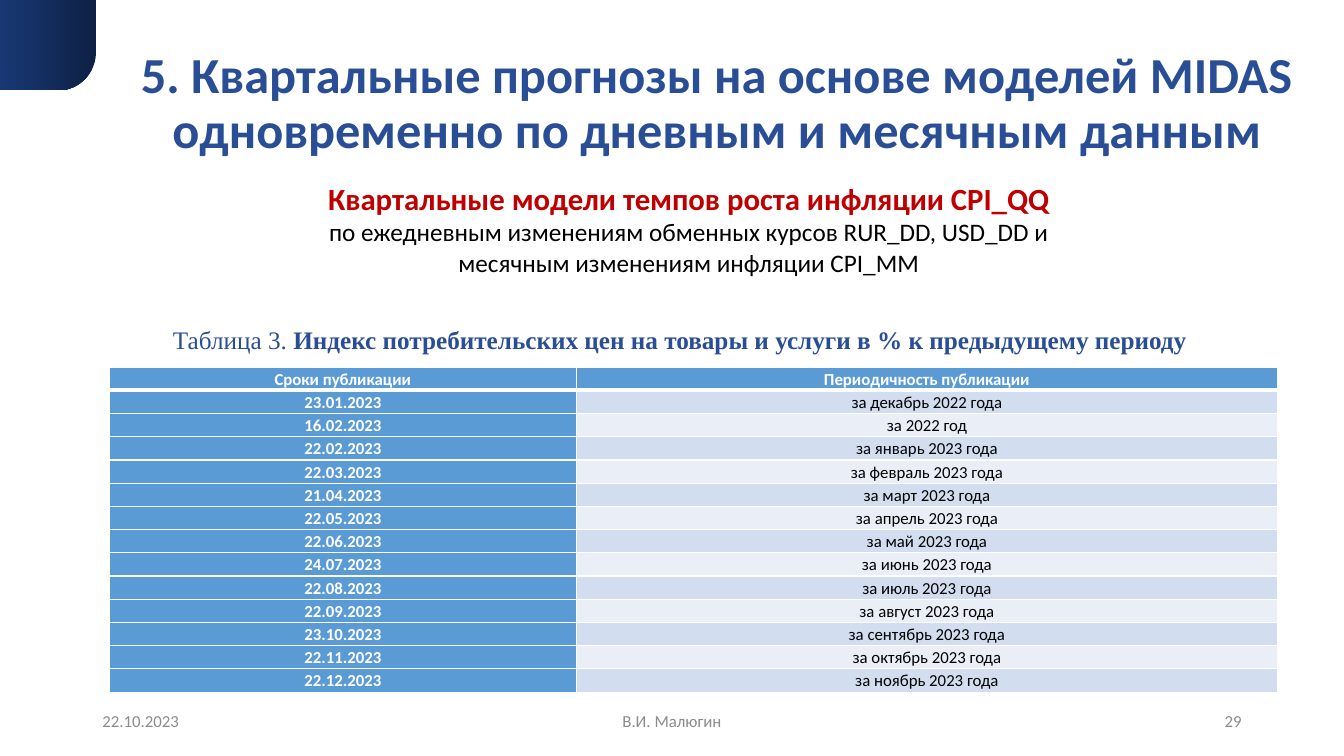
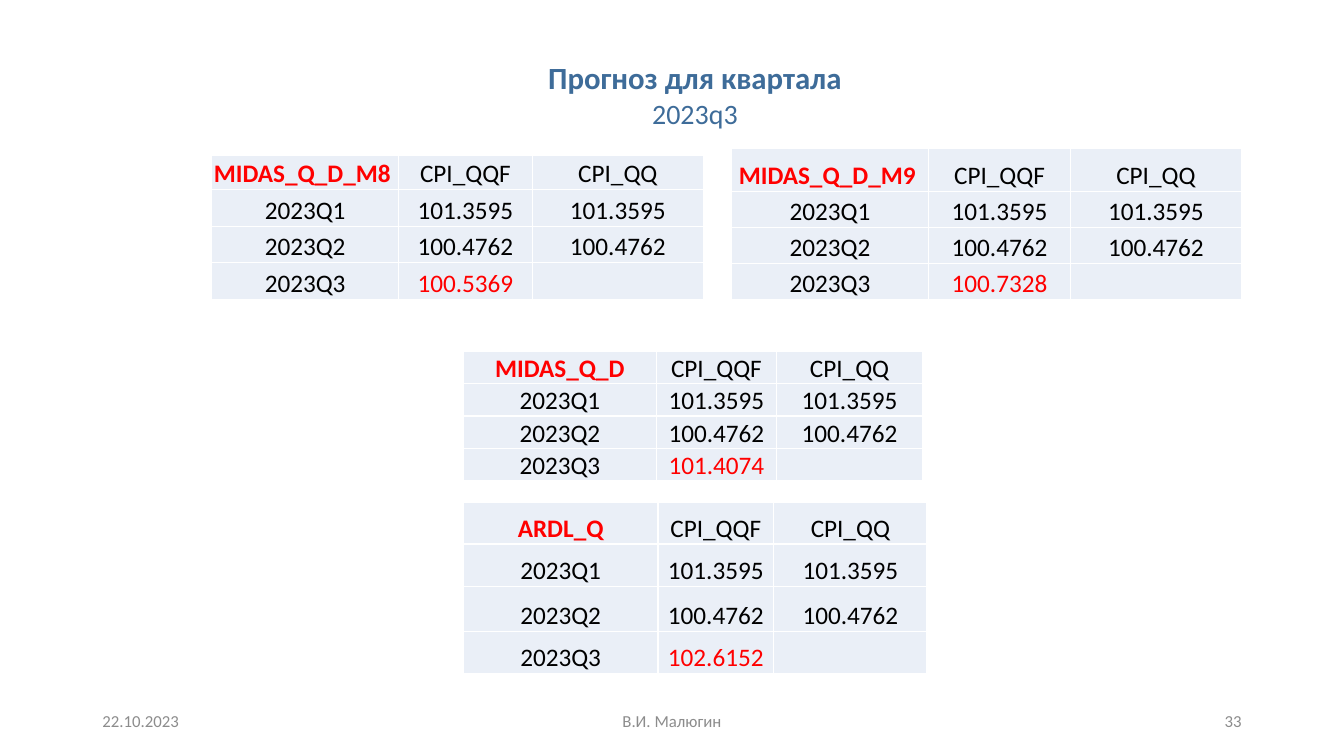
"""Build two slides on quarterly inflation forecasts with MIDAS models."""
from dataclasses import dataclass

import lxml.etree
import pptx
import pptx.dml.color
import pptx.enum.shapes
import pptx.enum.text
import pptx.oxml.ns
import pptx.slide
import pptx.table
import pptx.text.text
import pptx.util

Cm = pptx.util.Cm
Pt = pptx.util.Pt
Align = pptx.enum.text.PP_ALIGN
Anchor = pptx.enum.text.MSO_ANCHOR
Slide = pptx.slide.Slide

HUES = {
    "title": "2A4E96", "steel": "3E6C99", "crimson": "C00000", "red": "FF0000",
    "black": "000000", "white": "FFFFFF", "gray": "8C8C8C",
    "head": "5B9BD5", "band": "D2DEEF", "pale": "EAEFF7",
    "dark": "0E2145", "navy": "183874",
}
DATE = "22.10.2023"
AUTHOR = "В.И. Малюгин"


@dataclass
class Box:
    left: float
    top: float
    width: float
    height: float

    def place(self) -> tuple:
        return Cm(self.left), Cm(self.top), Cm(self.width), Cm(self.height)


@dataclass
class Bit:
    text: str
    size: float
    hue: str
    bold: bool = False
    font: str = "Calibri"


@dataclass
class Line:
    bits: list[Bit]
    align: Align = Align.CENTER
    space: float = 1.0


@dataclass
class Cell:
    bit: Bit
    fill: str


@dataclass
class Model:
    name: str
    value: str
    left: float
    top: float
    cols: list[float]
    rows: list[float]


DATES = [
    ("23.01.2023", "за декабрь 2022 года"),
    ("16.02.2023", "за 2022 год"),
    ("22.02.2023", "за январь 2023 года"),
    ("22.03.2023", "за февраль 2023 года"),
    ("21.04.2023", "за март 2023 года"),
    ("22.05.2023", "за апрель 2023 года"),
    ("22.06.2023", "за май 2023 года"),
    ("24.07.2023", "за июнь 2023 года"),
    ("22.08.2023", "за июль 2023 года"),
    ("22.09.2023", "за август 2023 года"),
    ("23.10.2023", "за сентябрь 2023 года"),
    ("22.11.2023", "за октябрь 2023 года"),
    ("22.12.2023", "за ноябрь 2023 года"),
]
MODELS = [
    Model("MIDAS_Q_D_M8 ", "100.5369", 5.33, 3.92,
          [4.72, 3.36, 4.32], [0.86, 0.92, 0.92, 0.92]),
    Model("MIDAS_Q_D_M9 ", "100.7328", 18.44, 3.74,
          [4.96, 3.58, 4.3], [1.08, 0.91, 0.91, 0.91]),
    Model("MIDAS_Q_D", "101.4074", 11.68, 8.85,
          [4.86, 3.03, 3.68], [0.81, 0.81, 0.81, 0.81]),
    Model("ARDL_Q", "102.6152", 11.68, 12.65,
          [4.9, 2.92, 3.86], [1.06, 1.06, 1.14, 1.06]),
]


def tint(hue: str) -> pptx.dml.color.RGBColor:
    return pptx.dml.color.RGBColor.from_string(HUES[hue])


def write(frame: pptx.text.text.TextFrame, lines: list[Line]) -> None:
    for spot, line in enumerate(lines):
        para = frame.add_paragraph() if spot else frame.paragraphs[0]
        para.alignment = line.align
        para.line_spacing = line.space
        for bit in line.bits:
            run = para.add_run()
            run.text = bit.text
            run.font.size = Pt(bit.size)
            run.font.name = bit.font
            run.font.bold = bit.bold
            run.font.color.rgb = tint(bit.hue)


def label(slide: Slide, box: Box, lines: list[Line],
          anchor: Anchor = Anchor.TOP) -> None:
    frame = slide.shapes.add_textbox(*box.place()).text_frame
    frame.word_wrap = True
    frame.vertical_anchor = anchor
    write(frame, lines)


def start(deck: pptx.Presentation, box: Box, lines: list[Line],
          page: str) -> Slide:
    slide = deck.slides.add_slide(deck.slide_layouts[5])
    title = slide.shapes.title
    title.left, title.top, title.width, title.height = box.place()
    frame = title.text_frame
    frame.auto_size = pptx.enum.text.MSO_AUTO_SIZE.NONE
    frame.vertical_anchor = Anchor.TOP
    write(frame, lines)
    for text, left, width, align in (
        (DATE, 2.33, 7.62, Align.LEFT),
        (AUTHOR, 11.22, 11.43, Align.CENTER),
        (page, 23.92, 7.62, Align.RIGHT),
    ):
        label(slide, Box(left, 17.65, width, 1.02),
              [Line([Bit(text, 12, "gray")], align)], Anchor.MIDDLE)
    return slide


def edge(cell: pptx.table._Cell, side: str, width: float) -> None:
    line = lxml.etree.Element(pptx.oxml.ns.qn(f"a:{side}"), w=str(Pt(width)))
    fill = lxml.etree.SubElement(line, pptx.oxml.ns.qn("a:solidFill"))
    lxml.etree.SubElement(fill, pptx.oxml.ns.qn("a:srgbClr"), val=HUES["white"])
    props = cell._tc.get_or_add_tcPr()
    props.insert(len(props) - 1, line)


def grid(slide: Slide, left: float, top: float, cols: list[float],
         rows: list[float], cells: list[list[Cell]], anchor: Anchor,
         rule: float = 1) -> None:
    box = Box(left, top, sum(cols), sum(rows))
    table = slide.shapes.add_table(len(rows), len(cols), *box.place()).table
    table.first_row = table.horz_banding = False
    for col, width in zip(table.columns, cols):
        col.width = Cm(width)
    for row, height in zip(table.rows, rows):
        row.height = Cm(height)
    for y, items in enumerate(cells):
        for x, item in enumerate(items):
            cell = table.cell(y, x)
            cell.margin_left = cell.margin_right = 0
            cell.margin_top = cell.margin_bottom = 0
            cell.vertical_anchor = anchor
            cell.fill.solid()
            cell.fill.fore_color.rgb = tint(item.fill)
            for side in ("lnL", "lnR"):
                edge(cell, side, 1)
            edge(cell, "lnT", rule if y == 1 else 1)
            edge(cell, "lnB", rule if y == 0 else 1)
            bits = [item.bit] if item.bit.text else []
            write(cell.text_frame, [Line(bits, space=1.07)])


def badge(slide: Slide) -> None:
    shape = slide.shapes.add_shape(
        pptx.enum.shapes.MSO_SHAPE.ROUND_1_RECTANGLE,
        *Box(0, 0, 2.42, 2.28).place())
    shape.adjustments[0] = 0.42
    shape.shadow.inherit = False
    shape.line.fill.background()
    shape.fill.gradient()
    shape.fill.gradient_angle = 180
    for stop, hue in zip(shape.fill.gradient_stops, ("dark", "navy")):
        stop.color.rgb = tint(hue)
    shape.element.spPr.xfrm.set("flipV", "1")


def issues(deck: pptx.Presentation) -> None:
    head = ("5. Квартальные прогнозы на основе моделей MIDAS "
            "одновременно по дневным и месячным данным")
    slide = start(deck, Box(2.74, 1.14, 30.66, 3.28),
                  [Line([Bit(head, 36, "title", True)], space=0.9)], "29")
    label(slide, Box(5.08, 4.34, 24.56, 2.8), [
        Line([Bit("Квартальные модели темпов роста инфляции CPI_QQ",
                  22, "crimson", True)], space=1.07),
        Line([Bit("по ежедневным изменениям обменных курсов RUR_DD, USD_DD и",
                  18, "black")]),
        Line([Bit("месячным изменениям инфляции CPI_MM", 18, "black")]),
    ])
    cells = [[Cell(Bit(text, 12, "white", True), "head")
              for text in ("Сроки публикации", "Периодичность публикации")]]
    for spot, (date, term) in enumerate(DATES):
        cells.append([
            Cell(Bit(date, 12, "white", True), "head"),
            Cell(Bit(term, 12, "black"), "pale" if spot % 2 else "band"),
        ])
    rows = [8.2 / len(cells)] * len(cells)
    grid(slide, 2.76, 9.25, [11.76, 17.68], rows, cells, Anchor.MIDDLE, 3)
    serif = "Times New Roman"
    label(slide, Box(4.11, 8, 26.92, 1.04), [Line([
        Bit("Таблица 3. ", 18, "title", font=serif),
        Bit("Индекс потребительских цен на товары и услуги "
            "в % к предыдущему периоду", 18, "title", True, serif),
    ], Align.LEFT, 1.07)])
    badge(slide)


def results(deck: pptx.Presentation) -> None:
    slide = start(deck, Box(7.24, 1.47, 20.55, 2.24), [
        Line([Bit("Прогноз для квартала", 22, "steel", True)], space=0.9),
        Line([Bit("2023q3", 20, "steel")]),
    ], "33")
    for model in MODELS:
        texts = [
            (model.name, "CPI_QQF", "CPI_QQ"),
            ("2023Q1", "101.3595", "101.3595"),
            ("2023Q2", "100.4762", "100.4762"),
            ("2023Q3", model.value, ""),
        ]
        marks = (model.name, model.value)
        cells = [[Cell(Bit(text, 18, "red" if text in marks else "black",
                           text == model.name), "pale")
                  for text in row] for row in texts]
        grid(slide, model.left, model.top, model.cols, model.rows, cells,
             Anchor.BOTTOM)


def main() -> None:
    deck = pptx.Presentation()
    deck.slide_width = Cm(33.87)
    deck.slide_height = Cm(19.05)
    issues(deck)
    results(deck)
    deck.save("out.pptx")


if __name__ == "__main__":
    main()
